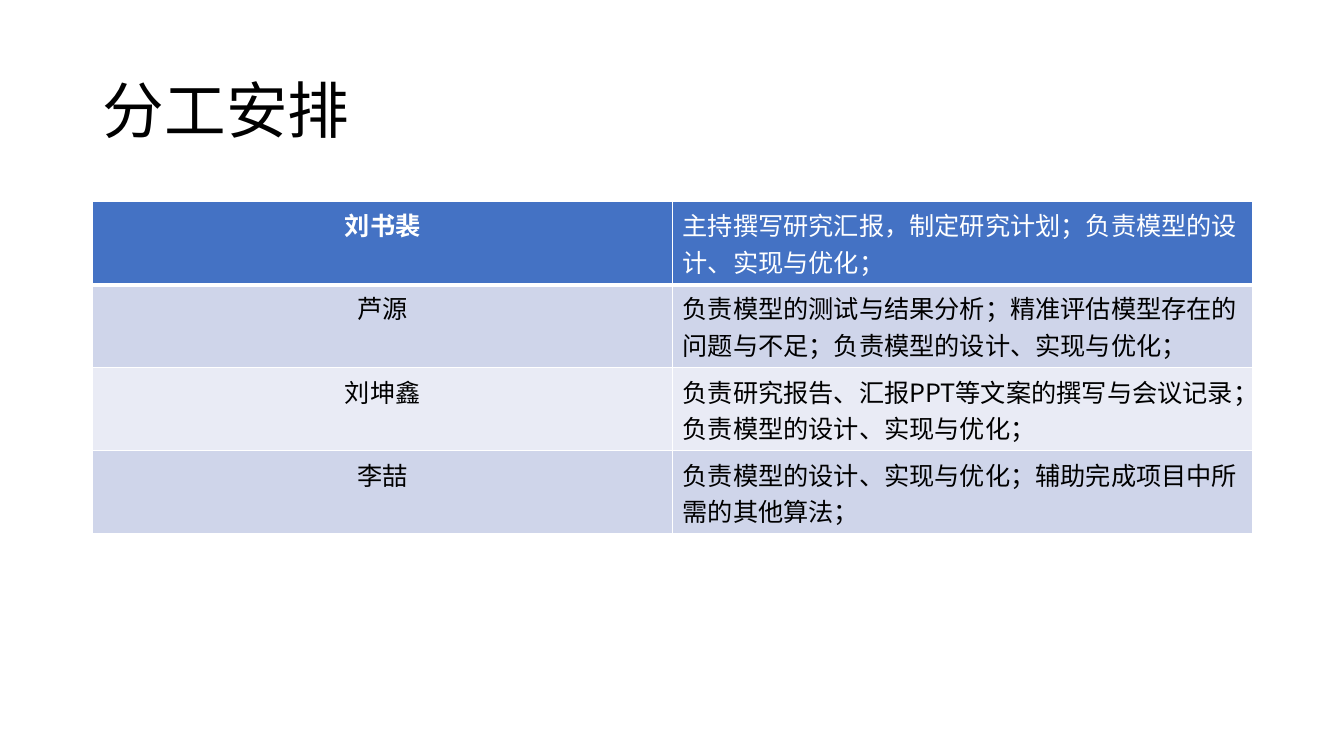
from lxml import etree
from pptx import Presentation
from pptx.dml.color import RGBColor
from pptx.enum import text
from pptx.oxml import ns
from pptx.util import Inches, Pt

COLORS = {"black": "000000", "white": "FFFFFF", "header": "4472C4",
          "band": "CFD5EA", "light": "E9EBF5"}
FONT = "Noto Sans CJK SC"
DUTIES = [
    ("刘书裴", "主持撰写研究汇报，制定研究计划；负责模型的设计、实现与优化；"),
    ("芦源", "负责模型的测试与结果分析；精准评估模型存在的问题与不足；负责模型的设计、实现与优化；"),
    ("刘坤鑫", "负责研究报告、汇报PPT等文案的撰写与会议记录；负责模型的设计、实现与优化；"),
    ("李喆", "负责模型的设计、实现与优化；辅助完成项目中所需的其他算法；"),
]


def write(p, words, color, **fmt):
    r = p.add_run()
    r.text = words
    for key, value in fmt.items():
        setattr(r.font, key, value)
    r.font.name = FONT
    r.font.color.rgb = RGBColor.from_string(COLORS[color])
    ea = etree.SubElement(r.font._element, ns.qn("a:ea"))
    ea.set("typeface", FONT)


def add_borders(cell, widths):
    tcPr = cell._tc.get_or_add_tcPr()
    for i, (side, width) in enumerate(widths.items()):
        ln = etree.Element(ns.qn(f"a:ln{side}"), w=str(Pt(width)))
        fill = etree.SubElement(ln, ns.qn("a:solidFill"))
        etree.SubElement(fill, ns.qn("a:srgbClr"), val=COLORS["white"])
        tcPr.insert(i, ln)


prs = Presentation()
prs.slide_width, prs.slide_height = Inches(13.33), Inches(7.5)
s = prs.slides.add_slide(prs.slide_layouts[5])

title = s.shapes.title
box = {"left": 0.92, "top": 0.4, "width": 11.5, "height": 1.45}
for key, value in box.items():
    setattr(title, key, Inches(value))
tf = title.text_frame
tf.vertical_anchor = text.MSO_ANCHOR.MIDDLE
tf.auto_size = text.MSO_AUTO_SIZE.NONE
p = tf.paragraphs[0]
p.alignment = text.PP_ALIGN.LEFT
p.line_spacing = 0.9
write(p, "分工安排", "black", size=Pt(44))

table = s.shapes.add_table(len(DUTIES), 2, Inches(0.92), Inches(2),
                           Inches(11.5), Inches(0.82 * len(DUTIES))).table
for row, duty in enumerate(DUTIES):
    header = row == 0
    fill = "header" if header else "band" if row % 2 else "light"
    for col, words in enumerate(duty):
        cell = table.cell(row, col)
        cell.fill.solid()
        cell.fill.fore_color.rgb = RGBColor.from_string(COLORS[fill])
        add_borders(cell, {"L": 1, "R": 1, "T": 3 if row == 1 else 1,
                           "B": 3 if header else 1})
        p = cell.text_frame.paragraphs[0]
        p.alignment = text.PP_ALIGN.LEFT if col else text.PP_ALIGN.CENTER
        write(p, words, "white" if header else "black", size=Pt(18),
              bold=header and col == 0)

prs.save("out.pptx")
